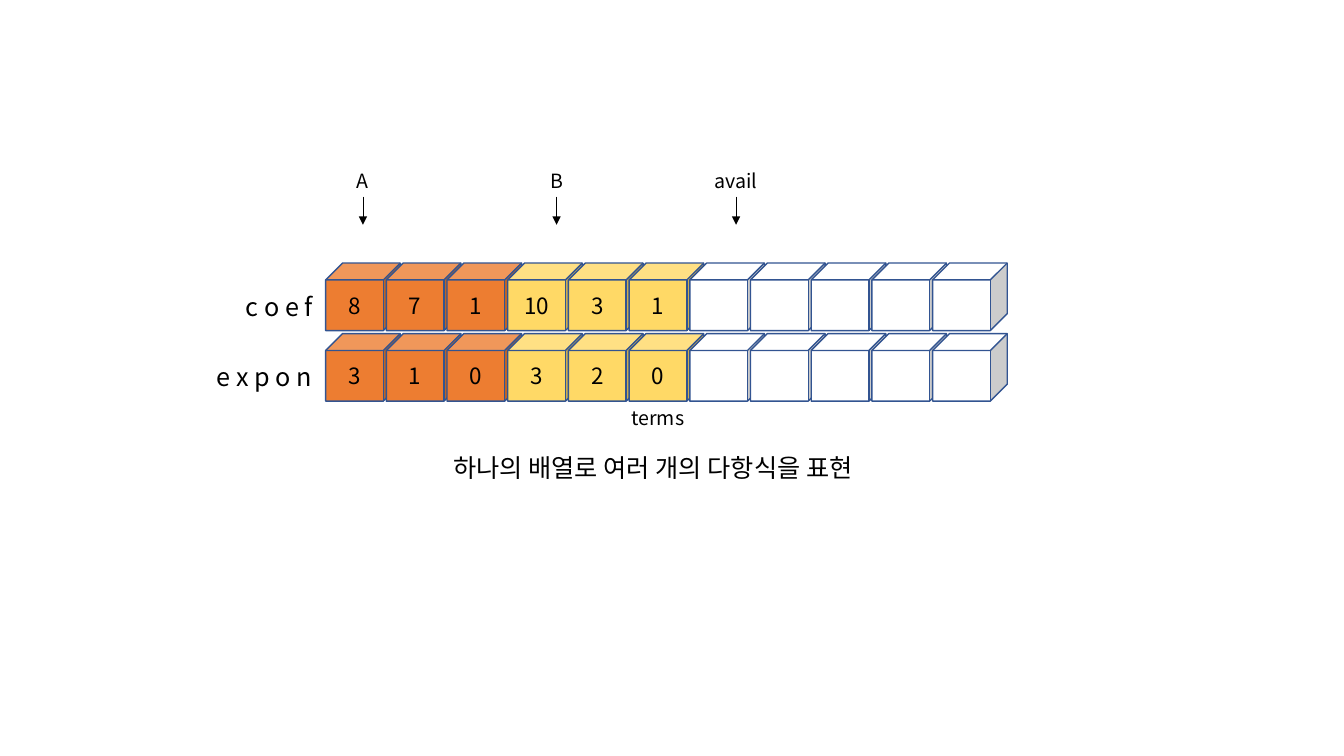
from lxml import etree
from pptx import Presentation
from pptx.dml.color import RGBColor
from pptx.enum import shapes, text
from pptx.oxml import ns
from pptx.util import Inches, Pt

FONT = "Noto Sans CJK KR"
COLORS = {
    "text": "000000",
    "outline": "325491",
    "poly_a": "ED7D31",
    "poly_b": "FFD966",
    "free": "FFFFFF",
}
CELL_FILLS = ["poly_a"] * 3 + ["poly_b"] * 3 + ["free"] * 5
FIRST_CELL, LAST_CELL = 3.23, 9.25
CELL_PITCH = (LAST_CELL - FIRST_CELL) / (len(CELL_FILLS) - 1)
CELL_WIDTH, CELL_HEIGHT = 0.74, 0.67


def color(name):
    return RGBColor.from_string(COLORS[name])


def write(tf, content, size):
    tf.text = content
    p = tf.paragraphs[0]
    p.alignment = text.PP_ALIGN.CENTER
    r = p.runs[0]
    r.font.size = Pt(size)
    r.font.name = FONT
    r.font.color.rgb = color("text")
    ea = etree.SubElement(r.font._element, ns.qn("a:ea"))
    ea.set("typeface", FONT)


def add_label(s, content, left, top, width, height, size):
    box = s.shapes.add_textbox(Inches(left), Inches(top), Inches(width), Inches(height))
    tf = box.text_frame
    tf.word_wrap = True
    write(tf, content, size)


def add_cell(s, value, left, top, fill):
    sp = s.shapes.add_shape(
        shapes.MSO_SHAPE.CUBE,
        Inches(left), Inches(top), Inches(CELL_WIDTH), Inches(CELL_HEIGHT),
    )
    sp.shadow.inherit = False
    sp.fill.solid()
    sp.fill.fore_color.rgb = color(fill)
    sp.line.color.rgb = color("outline")
    sp.line.width = Pt(1)
    if value:
        tf = sp.text_frame
        tf.vertical_anchor = text.MSO_ANCHOR.MIDDLE
        write(tf, value, 16)


def add_array(s, top, values):
    padded = values + [""] * (len(CELL_FILLS) - len(values))
    for i, (value, fill) in enumerate(zip(padded, CELL_FILLS)):
        add_cell(s, value, FIRST_CELL + i * CELL_PITCH, top, fill)


def add_pointer(s, name, x, width):
    add_label(s, name, x - width / 2, 1.63, width, 0.34, 14)
    arrow = s.shapes.add_connector(
        shapes.MSO_CONNECTOR.STRAIGHT, Inches(x), Inches(1.95), Inches(x), Inches(2.23)
    )
    arrow.line.color.rgb = color("text")
    arrow.line.width = Pt(0.5)
    head = etree.SubElement(arrow.line._get_or_add_ln(), ns.qn("a:tailEnd"))
    head.set("type", "triangle")
    etree.SubElement(arrow._element.spPr, ns.qn("a:effectLst"))


def main():
    prs = Presentation()
    prs.slide_width = Inches(13.33)
    prs.slide_height = Inches(7.5)
    s = prs.slides.add_slide(prs.slide_layouts[6])

    add_label(s, "하나의 배열로 여러 개의 다항식을 표현", 3.93, 4.44, 5.09, 0.4, 18)
    add_array(s, 2.61, ["8", "7", "1", "10", "3", "1"])
    add_label(s, "c o e f", 2.25, 2.84, 1.04, 0.4, 18)
    add_array(s, 3.31, ["3", "1", "0", "3", "2", "0"])
    add_label(s, "e x p o n", 1.96, 3.54, 1.32, 0.4, 18)
    for name, x, width in [("A", 3.6, 0.51), ("B", 5.52, 0.51), ("avail", 7.3, 1.13)]:
        add_pointer(s, name, x, width)
    add_label(s, "terms", 5.96, 3.98, 1.13, 0.34, 14)

    prs.save("out.pptx")


if __name__ == "__main__":
    main()
